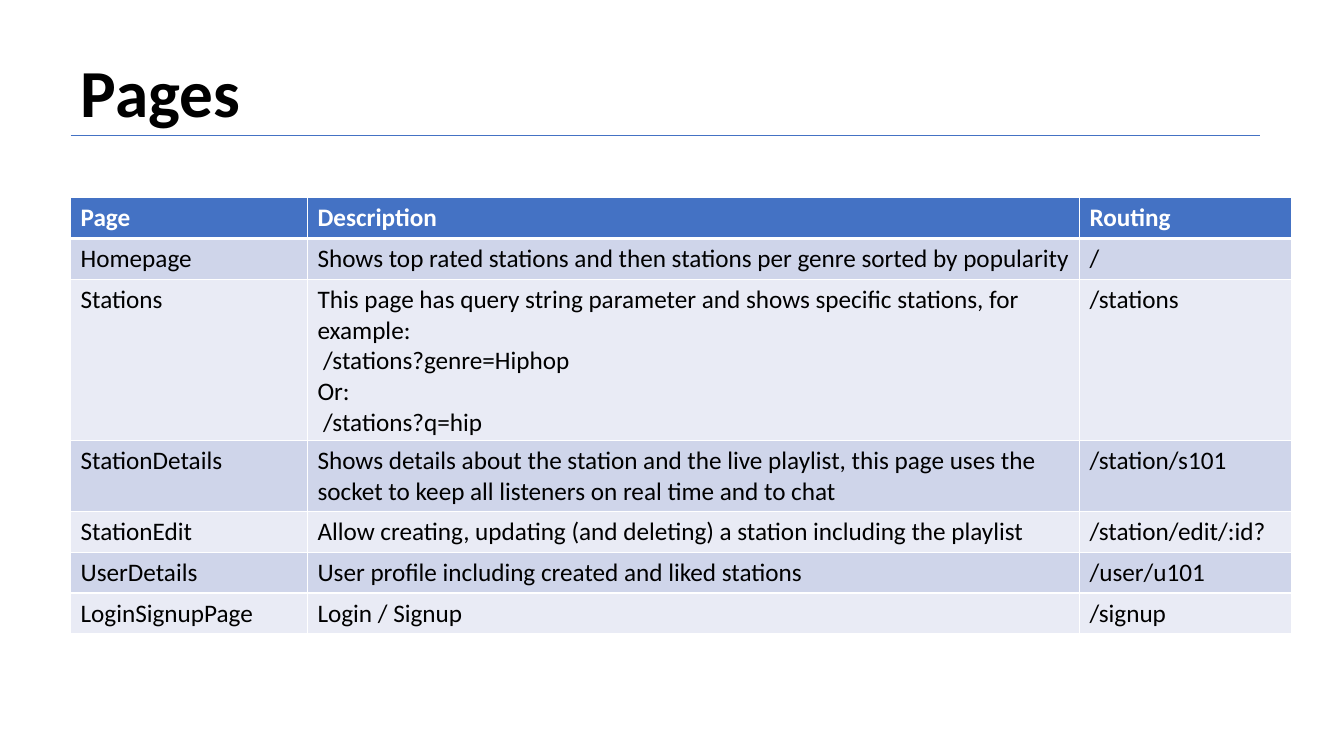
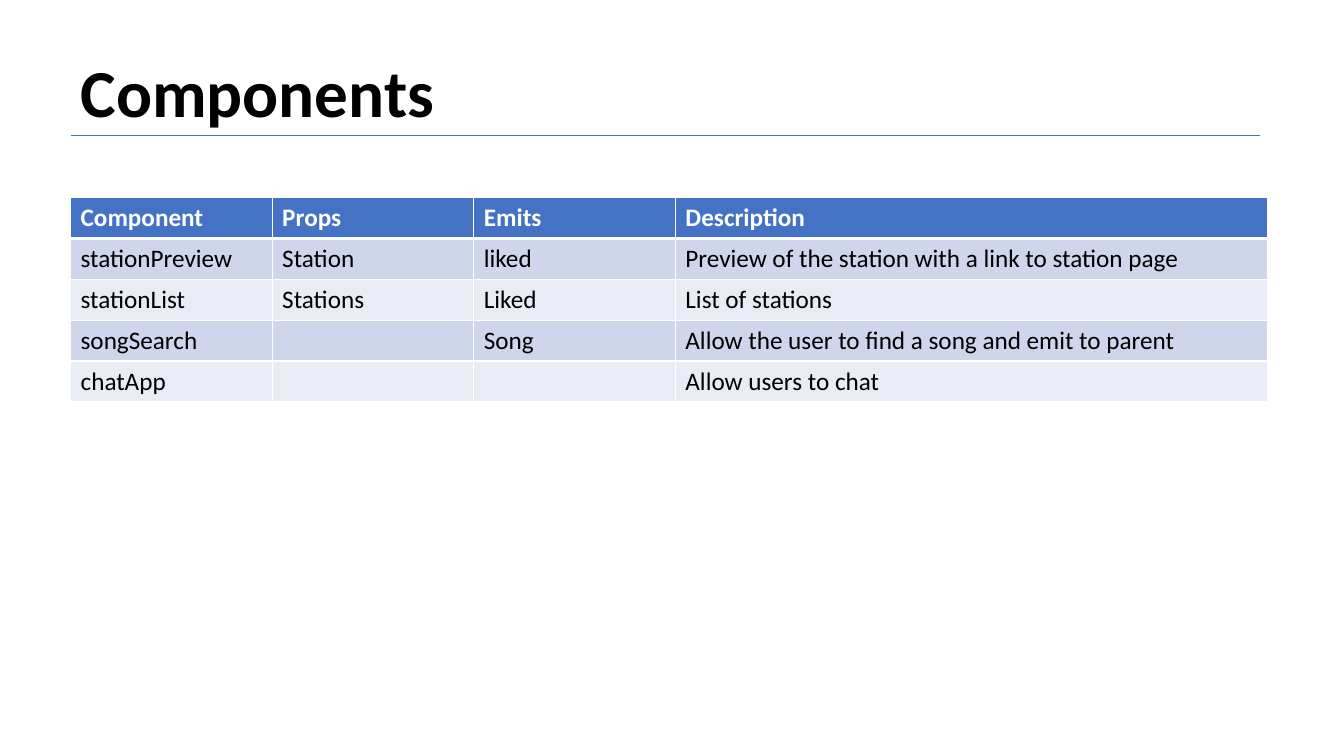
"""Builds two slides that list an app's pages and components in tables."""
from lxml import etree
from pptx import Presentation
from pptx.dml.color import RGBColor
from pptx.enum import shapes, text
from pptx.oxml import ns
from pptx.util import Pt

COLORS = {
    "ink": "000000",
    "paper": "FFFFFF",
    "accent": "4472C4",
    "odd": "CFD5EA",
    "even": "E9EBF5",
}
FONT = "Calibri"
ROW_HEIGHT = 29.2
TITLE_BOX = (50.4, 32.4, 849.6, 65.8)
RULE_TOP = 96.5
TABLE_ORIGIN = (50.4, 141.1)

PAGES = [
    ("Page", "Description", "Routing"),
    ("Homepage", "Shows top rated stations and then stations per genre sorted by popularity", "/"),
    ("Stations",
     "This page has query string parameter and shows specific stations, for example:"
     "\v /stations?genre=Hiphop\nOr:\n /stations?q=hip",
     "/stations"),
    ("StationDetails",
     "Shows details about the station and the live playlist, this page uses the socket "
     "to keep all listeners on real time and to chat",
     "/station/s101"),
    ("StationEdit", "Allow creating, updating (and deleting) a station including the playlist",
     "/station/edit/:id?"),
    ("UserDetails", "User profile including created and liked stations", "/user/u101"),
    ("LoginSignupPage", "Login / Signup", "/signup"),
]
COMPONENTS = [
    ("Component", "Props", "Emits", "Description"),
    ("stationPreview", "Station", "liked", "Preview of the station with a link to station page"),
    ("stationList", "Stations", "Liked", "List of stations"),
    ("songSearch", "", "Song", "Allow the user to find a song and emit to parent"),
    ("chatApp", "", "", "Allow users to chat"),
]
SLIDES = [
    ("Pages", PAGES, (169.2, 551.5, 151.2)),
    ("Components", COMPONENTS, (144, 144, 144, 423.4)),
]


def rgb(name):
    """Return the named palette colour."""
    return RGBColor.from_string(COLORS[name])


def write(frame, content, size=18, color="ink", bold=False):
    """Fill a text frame with left-aligned, formatted text."""
    frame.text = content
    for paragraph in frame.paragraphs:
        paragraph.alignment = text.PP_ALIGN.LEFT
        paragraph.line_spacing = 1.0
        for run in paragraph.runs:
            run.font.name = FONT
            run.font.size = Pt(size)
            run.font.bold = bold
            run.font.color.rgb = rgb(color)


def set_borders(cell, top, bottom):
    """Draw the white borders of a cell, with widths in points."""
    properties = cell._tc.get_or_add_tcPr()
    widths = {"lnL": 1, "lnR": 1, "lnT": top, "lnB": bottom}
    for index, (side, width) in enumerate(widths.items()):
        border = etree.Element(ns.qn(f"a:{side}"), w=str(Pt(width)))
        fill = etree.SubElement(border, ns.qn("a:solidFill"))
        etree.SubElement(fill, ns.qn("a:srgbClr"), val=COLORS["paper"])
        properties.insert(index, border)


def add_heading(slide, heading, box):
    """Place the title in its box, with a thin rule below it."""
    left, top, width, height = box
    title = slide.shapes.title
    title.left, title.top, title.width, title.height = map(Pt, box)
    title.text_frame.auto_size = text.MSO_AUTO_SIZE.SHAPE_TO_FIT_TEXT
    title.text_frame.vertical_anchor = text.MSO_ANCHOR.TOP
    write(title.text_frame, heading, size=48, bold=True)

    rule = slide.shapes.add_connector(
        shapes.MSO_CONNECTOR.STRAIGHT,
        Pt(left), Pt(RULE_TOP), Pt(left + width), Pt(RULE_TOP))
    rule.line.color.rgb = rgb("accent")
    rule.line.width = Pt(0.5)
    etree.SubElement(rule._element.spPr, ns.qn("a:effectLst"))


def add_listing(slide, entries, widths, origin):
    """Place a banded table with a header row at the origin."""
    left, top = origin
    listing = slide.shapes.add_table(
        len(entries), len(widths), Pt(left), Pt(top),
        Pt(sum(widths)), Pt(ROW_HEIGHT * len(entries))).table
    for column, width in zip(listing.columns, widths):
        column.width = Pt(width)
    for row, entry in enumerate(entries):
        listing.rows[row].height = Pt(ROW_HEIGHT)
        header = row == 0
        band = "accent" if header else "odd" if row % 2 else "even"
        for column, content in enumerate(entry):
            cell = listing.cell(row, column)
            cell.fill.solid()
            cell.fill.fore_color.rgb = rgb(band)
            set_borders(cell, top=3 if row == 1 else 1, bottom=3 if header else 1)
            write(cell.text_frame, content, color="paper" if header else "ink", bold=header)


def main():
    """Build and save the presentation."""
    deck = Presentation()
    deck.slide_width, deck.slide_height = Pt(960), Pt(540)
    title_only = deck.slide_layouts[5]
    for heading, entries, widths in SLIDES:
        slide = deck.slides.add_slide(title_only)
        add_heading(slide, heading, TITLE_BOX)
        add_listing(slide, entries, widths, TABLE_ORIGIN)
    deck.save("out.pptx")


if __name__ == "__main__":
    main()
